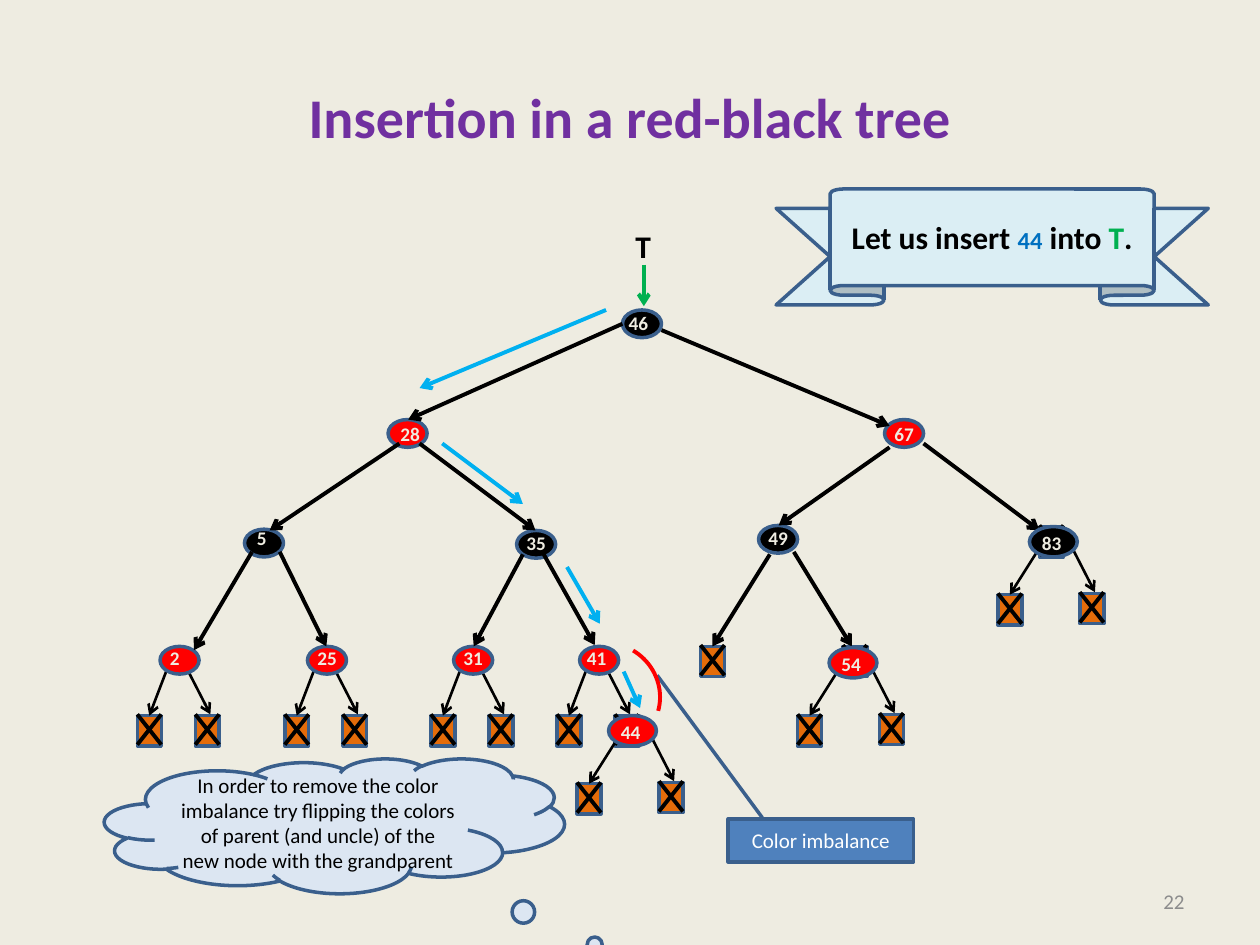
from lxml import etree
from pptx import Presentation
from pptx.dml.color import RGBColor as RGB
from pptx.enum.shapes import MSO_CONNECTOR as LINK, MSO_SHAPE as SHAPE
from pptx.enum.text import MSO_ANCHOR as ANCHOR, MSO_AUTO_SIZE as FIT, PP_ALIGN as ALIGN
from pptx.oxml.ns import qn
from pptx.util import Pt

PX = 9144
FONT = "Calibri"
C = {
    "paper": "EEECE1", "title": "7030A0", "grey": "8C8C8C", "outline": "3A5F8C",
    "black": "000000", "red": "FF0000", "leaf": "E46C0A", "path": "00B0F0",
    "green": "00B050", "blue": "0070C0", "white": "FFFFFF", "ribbon": "DBEEF4",
    "callout": "4F81BD", "cloud": "DCE6F2",
}
C = {name: RGB.from_string(value) for name, value in C.items()}

deck = Presentation()
deck.slide_width, deck.slide_height = 1000 * PX, 750 * PX
slide = deck.slides.add_slide(deck.slide_layouts[5])
slide.background.fill.solid()
slide.background.fill.fore_color.rgb = C["paper"]


def add_outlined(kind, box, fill, adjust=()):
    part = slide.shapes.add_shape(kind, *[v * PX for v in box])
    part.shadow.inherit = False
    part.fill.solid()
    part.fill.fore_color.rgb = C[fill]
    part.line.color.rgb = C["outline"]
    part.line.width = Pt(2)
    for i, value in enumerate(adjust):
        part.adjustments[i] = value
    return part


def add_line(start, end, color="black", width=2.25, arrow=True, target=None):
    link = slide.shapes.add_connector(LINK.STRAIGHT, *[v * PX for v in start + end])
    link.line.color.rgb = C[color]
    link.line.width = Pt(width)
    if arrow:
        etree.SubElement(link.line._get_or_add_ln(), qn("a:tailEnd"), type="arrow")
    etree.SubElement(link._element.spPr, qn("a:effectLst"))
    if target is not None:
        link.end_connect(target, 0)


title = slide.shapes.title
title.left, title.top, title.width, title.height = [v * PX for v in (50, 30, 900, 125)]
title.text_frame.vertical_anchor = ANCHOR.MIDDLE
heading = title.text_frame.paragraphs[0]
heading.alignment = ALIGN.CENTER
run = heading.add_run()
run.text = "Insertion in a red-black tree"
run.font.name, run.font.size, run.font.bold = FONT, Pt(32), True
run.font.color.rgb = C["title"]

small_nodes = [
    ("46", 494, 246, "black", (489, 242)), ("67", 702, 333, "red", (700, 330)),
    ("5", 194, 420, "black", (194, 413)), ("49", 602, 417, "black", (600, 413)),
    ("35", 410, 421, "black", (408, 417)), ("28", 308, 333, "red", (308, 330)),
    ("2", 127, 513, "red", (125, 508)), ("25", 244, 513, "red", (242, 508)),
    ("31", 360, 513, "red", (358, 508)), ("41", 460, 513, "red", (456, 508)),
]
large_nodes = [
    ("83", 817, 418, "black"), ("54", 658, 514, "red"), ("44", 483, 568, "red"),
]

leaf_spots = [(556, 513), (669, 513), (825, 418)]
leaf_links = []
for _, x, y, _, _ in small_nodes[-4:]:
    left, right = (x - 18, y + 55), (x + 28, y + 55)
    leaf_spots += [left, right]
    leaf_links += [((x + 6, y + 17), (x - 9, y + 55), left),
                   ((x + 21, y + 17), (x + 40, y + 54), None)]
for _, x, y, _ in large_nodes:
    left, right = (x - 25, y + 54), (x + 40, y + 53)
    leaf_spots += [left, right]
    leaf_links += [((x + 6, y + 20), (x - 15, y + 54), left),
                   ((x + 33, y + 15), (x + 52, y + 52), None)]

leaves = {}
for x, y in leaf_spots:
    leaves[x, y] = add_outlined(SHAPE.RECTANGLE, (x, y, 19, 24), "leaf")
    add_line((x + 19, y - 1), (x, y + 23), arrow=False)
    add_line((x, y - 1), (x + 19, y + 23), arrow=False)
for start, end, spot in leaf_links:
    add_line(start, end, width=1.5, target=leaves.get(spot))

for _, x, y, color, _ in small_nodes:
    add_outlined(SHAPE.OVAL, (x, y, 31, 22), color)

tree_edges = [
    ((494, 257), (324, 333)), ((317, 352), (214, 421)), ((415, 440), (376, 513)),
    ((200, 438), (154, 516)), ((706, 355), (618, 417)), ((333, 352), (425, 421)),
    ((733, 352), (825, 421)), ((222, 438), (259, 513)), ((431, 439), (472, 512)),
    ((630, 438), (676, 513)), ((525, 262), (706, 338)),
]
for start, end in tree_edges:
    add_line(start, end)
add_line((611, 440), (567, 513), target=leaves[556, 513])
add_line((511, 210), (511, 243), "green")

for _, x, y, color in large_nodes:
    add_outlined(SHAPE.OVAL, (x, y, 38, 24), color)

search_path = [
    ((481, 246), (333, 308)), ((351, 352), (415, 400)),
    ((450, 450), (476, 495)), ((495, 533), (508, 562)),
]
for start, end in search_path:
    add_line(start, end, "path")

labels = [
    ("T", (483, 175, 55, 40), 18, "black", True, ALIGN.CENTER, True),
    ("22", (717, 695, 233, 40), 12, "grey", False, ALIGN.RIGHT, True),
]
for key, _, _, _, (x, y) in small_nodes:
    width = 36 if len(key) == 2 else 28
    labels.append((key, (x, y, width, 29), 11, "paper", True, ALIGN.LEFT, False))
for key, x, y, _ in large_nodes:
    labels.append((key, (x, y - 1, 43, 29), 11, "paper", True, ALIGN.LEFT, True))
for words, box, size, color, bold, align, wrap in labels:
    frame = slide.shapes.add_textbox(*[v * PX for v in box]).text_frame
    frame.word_wrap = wrap
    if words == "22":
        frame.vertical_anchor = ANCHOR.MIDDLE
    else:
        frame.auto_size = FIT.SHAPE_TO_FIT_TEXT
    frame.paragraphs[0].alignment = align
    run = frame.paragraphs[0].add_run()
    run.text = words
    run.font.name, run.font.size, run.font.bold = FONT, Pt(size), bold
    run.font.color.rgb = C[color]

remarks = [
    (SHAPE.UP_RIBBON, (616, 150, 343, 92), "ribbon", (0.167, 0.75), True,
     [("Let us insert ", 18, "black"), ("44", 14, "blue"), (" into ", 18, "black"),
      ("T", 18, "green"), (".", 18, "black")]),
    (SHAPE.LINE_CALLOUT_1, (578, 650, 147, 34), "callout",
     (-0.031, 0.184, -3.353, -0.384), False, [("Color imbalance", 12, "white")]),
    (SHAPE.CLOUD_CALLOUT, (83, 602, 365, 107), "cloud", (0.706, 1.098), False,
     [("In order to remove the color imbalance try flipping the colors of parent "
       "(and uncle) of the new node with the grandparent", 12, "black")]),
]
for kind, box, fill, adjust, bold, phrases in remarks:
    frame = add_outlined(kind, box, fill, adjust).text_frame
    frame.word_wrap = True
    frame.vertical_anchor = ANCHOR.MIDDLE
    frame.paragraphs[0].alignment = ALIGN.CENTER
    for words, size, color in phrases:
        run = frame.paragraphs[0].add_run()
        run.text = words
        run.font.name, run.font.size, run.font.bold = FONT, Pt(size), bold
        run.font.color.rgb = C[color]

imbalance = add_outlined(SHAPE.ARC, (436, 510, 88, 85), "red", (171.89, 0))
imbalance.rotation = 15.4
imbalance.fill.background()
imbalance.line.color.rgb = C["red"]
imbalance.line.width = Pt(2.25)

deck.save("out.pptx")
